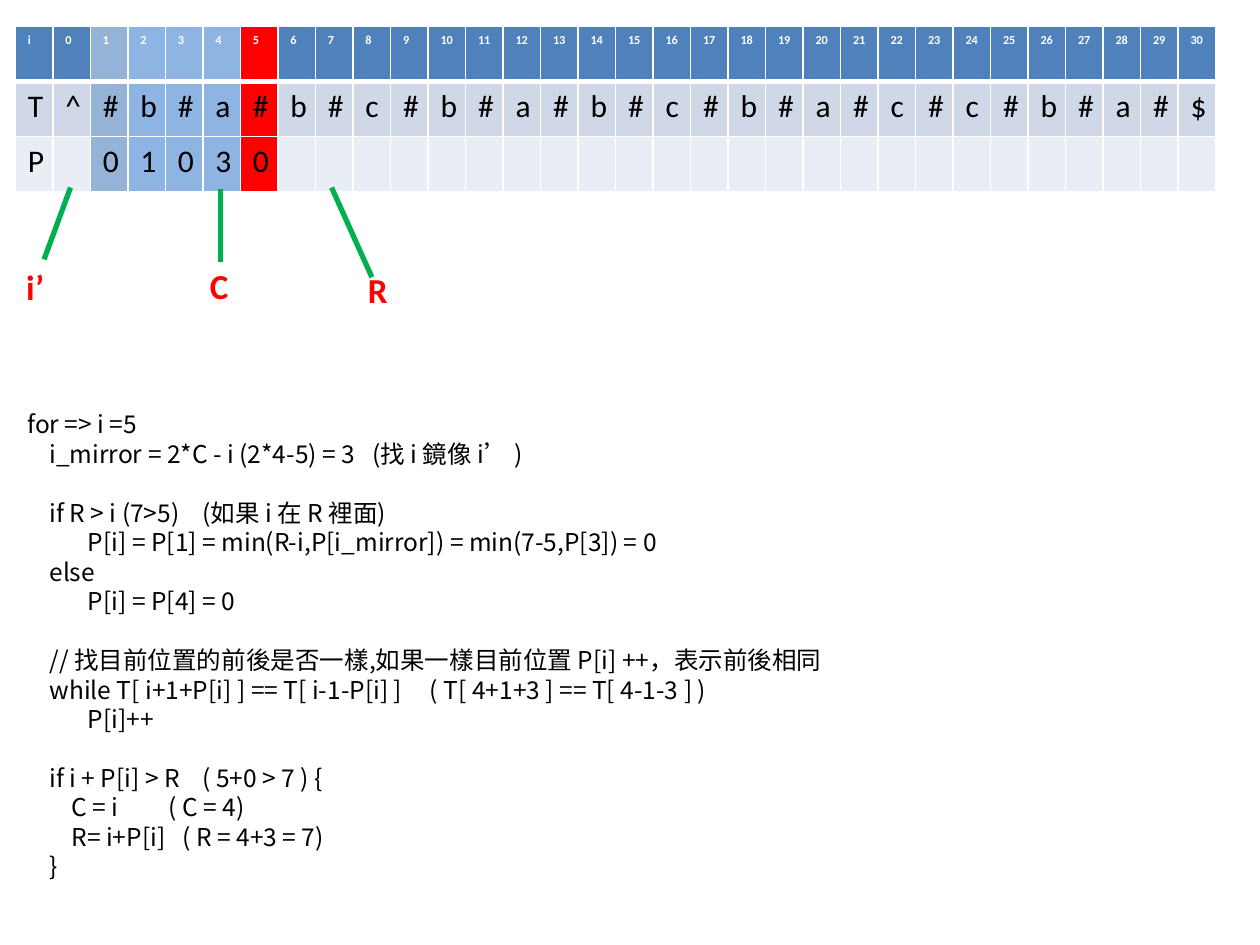
from dataclasses import dataclass

from lxml import etree
from pptx import Presentation
from pptx.dml.color import RGBColor
from pptx.enum.shapes import MSO_CONNECTOR
from pptx.oxml.ns import qn
from pptx.util import Pt

STRAIGHT = MSO_CONNECTOR.STRAIGHT
BLANK_LAYOUT = 6


@dataclass(frozen=True)
class Theme:
    latin: str = "Calibri"
    code: str = "Noto Sans CJK SC"
    white: str = "FFFFFF"
    ink: str = "000000"
    accent: str = "FF0000"
    pointer: str = "00B050"
    row_fills: tuple = ("4F81BD", "D0D8E8", "E9EDF4")
    first_visited: str = "95B3D7"
    visited: str = "8EB4E3"
    index_size: float = 7
    cell_size: float = 18
    label_size: float = 20
    code_size: float = 14
    line_pitch: float = 16.84


@dataclass(frozen=True)
class Box:
    left: float
    top: float
    width: float
    height: float

    def lengths(self):
        return Pt(self.left), Pt(self.top), Pt(self.width), Pt(self.height)


THEME = Theme()
CURRENT = 5
LETTERS = "^#b#a#b#c#b#a#b#c#b#a#c#c#b#a#$"
ROWS = (
    ["i", *map(str, range(len(LETTERS)))],
    ["T", *LETTERS],
    ["P", "", *"01030"],
)

# Label, label box left and top, line start and line end
POINTERS = (
    ("C", (105, 40.4), (118.2, 0.8), (118.2, 42.6)),
    ("R", (195.2, 42.6), (181.6, 0), (204.6, 51.2)),
    ("i’", (0, 41.2), (32.4, 0), (17.3, 41)),
)

# Tab stops, text, and whether a gap precedes the line
STEP, DEEP = 12.6, 34.5
CODE = (
    ((), "for => i =5", False),
    ((STEP, 197), "\ti_mirror = 2*C - i (2*4-5) = 3\t(找 i 鏡像 i’ )", False),
    ((STEP, 100), "\tif R > i (7>5)\t(如果 i 在 R 裡面)", True),
    ((DEEP,), "\tP[i] = P[1] = min(R-i,P[i_mirror]) = min(7-5,P[3]) = 0", False),
    ((STEP,), "\telse", False),
    ((DEEP,), "\tP[i] = P[4] = 0", False),
    ((STEP,), "\t// 找目前位置的前後是否一樣,如果一樣目前位置 P[i] ++，表示前後相同", True),
    ((STEP, 230), "\twhile T[ i+1+P[i] ] == T[ i-1-P[i] ]\t( T[ 4+1+3 ] == T[ 4-1-3 ] )", False),
    ((DEEP,), "\tP[i]++", False),
    ((STEP, 100), "\tif i + P[i] > R\t( 5+0 > 7 ) {", True),
    ((2 * STEP, 80.6), "\tC = i\t( C = 4)", False),
    ((2 * STEP, 88.6), "\tR= i+P[i]\t( R = 4+3 = 7)", False),
    ((STEP,), "\t}", False),
)


def style_para(para, font, size, color, bold=False):
    for span in para.runs:
        span.font.name = font
        span.font.size = Pt(size)
        span.font.bold = bold
        span.font.color.rgb = RGBColor.from_string(color)


def set_borders(cell, widths):
    properties = cell._tc.get_or_add_tcPr()
    for position, (side, width) in enumerate(zip("LRTB", widths)):
        line = etree.Element(qn(f"a:ln{side}"), w=str(Pt(width)))
        fill = etree.SubElement(line, qn("a:solidFill"))
        etree.SubElement(fill, qn("a:srgbClr"), val=THEME.white)
        properties.insert(position, line)


def cell_fill(row, column):
    index = column - 1
    if index == CURRENT:
        return THEME.accent
    if index == 1:
        return THEME.first_visited
    if 1 < index < CURRENT:
        return THEME.visited
    return THEME.row_fills[row]


def add_state_table(page, box):
    columns = len(ROWS[0])
    table = page.shapes.add_table(len(ROWS), columns, *box.lengths()).table
    table.first_row = table.horz_banding = False
    for column in table.columns:
        column.width = Pt(box.width / columns)
    for row, values in enumerate(ROWS):
        table.rows[row].height = Pt(box.height / len(ROWS))
        header = row == 0
        for column in range(columns):
            cell = table.cell(row, column)
            cell.margin_right = 0
            cell.fill.solid()
            cell.fill.fore_color.rgb = RGBColor.from_string(cell_fill(row, column))
            set_borders(cell, (1, 1, 3 if row == 1 else 1, 3 if header else 1))
            if column < len(values) and values[column]:
                cell.text_frame.text = values[column]
                style_para(
                    cell.text_frame.paragraphs[0],
                    THEME.latin,
                    THEME.index_size if header else THEME.cell_size,
                    THEME.white if header else THEME.ink,
                    header,
                )


def add_pointers(page, box):
    for label, (left, top), start, end in POINTERS:
        points = [Pt(edge + offset) for point in (start, end)
                  for edge, offset in zip((box.left, box.top), point)]
        line = page.shapes.add_connector(STRAIGHT, *points)
        line.line.color.rgb = RGBColor.from_string(THEME.pointer)
        line.line.width = Pt(3)
        etree.SubElement(line._element.spPr, qn("a:effectLst"))

        place = Box(box.left + left, box.top + top, 25.2, 31.5)
        frame = page.shapes.add_textbox(*place.lengths()).text_frame
        frame.word_wrap = False
        frame.text = label
        style_para(frame.paragraphs[0], THEME.latin, THEME.label_size, THEME.accent, True)


def add_code(page, box):
    frame = page.shapes.add_textbox(*box.lengths()).text_frame
    frame.word_wrap = True
    for number, (stops, text, gap) in enumerate(CODE):
        para = frame.paragraphs[0] if number == 0 else frame.add_paragraph()
        para.text = text
        para.line_spacing = Pt(THEME.line_pitch)
        para.space_before = Pt(THEME.line_pitch if gap else 0)
        style_para(para, THEME.code, THEME.code_size, THEME.ink)
        for span in para.runs:
            etree.SubElement(span.font._element, qn("a:ea"), typeface=THEME.code)
        if stops:
            tabs = etree.SubElement(para._p.get_or_add_pPr(), qn("a:tabLst"))
            for stop in stops:
                etree.SubElement(tabs, qn("a:tab"), pos=str(Pt(stop)), algn="l")


def build_slide(deck):
    page = deck.slides.add_slide(deck.slide_layouts[BLANK_LAYOUT])
    add_state_table(page, Box(8.8, 15.2, 686.1, 94.2))
    add_code(page, Box(8.6, 230.4, 686.1, 296))
    add_pointers(page, Box(7.9, 107.2, 220, 75))


deck = Presentation()
deck.slide_width, deck.slide_height = Pt(720), Pt(540)
build_slide(deck)
deck.save("out.pptx")
